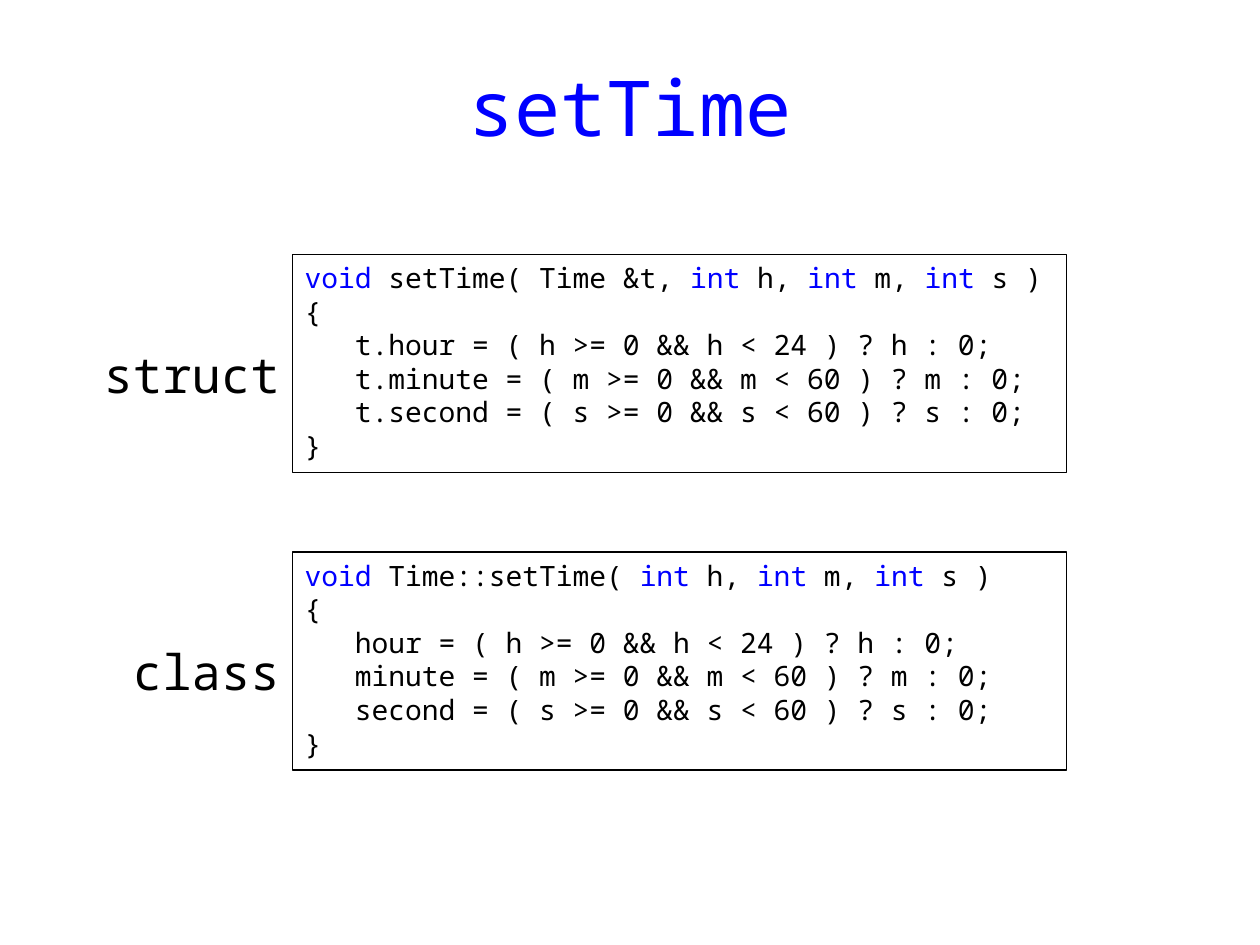
from dataclasses import dataclass

from pptx import Presentation
from pptx.dml.color import RGBColor
from pptx.enum.shapes import MSO_SHAPE
from pptx.enum.text import MSO_ANCHOR, PP_ALIGN
from pptx.slide import Slide
from pptx.text.text import TextFrame
from pptx.util import Pt

RECT = MSO_SHAPE.RECTANGLE
TOP, MIDDLE = MSO_ANCHOR.TOP, MSO_ANCHOR.MIDDLE
LEFT, CENTER, RIGHT = PP_ALIGN.LEFT, PP_ALIGN.CENTER, PP_ALIGN.RIGHT


@dataclass(frozen=True)
class Theme:
    font: str = "Noto Sans Mono"
    blue: RGBColor = RGBColor(0x00, 0x00, 0xFF)
    black: RGBColor = RGBColor(0x00, 0x00, 0x00)
    title: float = 44
    label: float = 28
    code: float = 16
    pitch: float = 19.2


@dataclass(frozen=True)
class Block:
    label: str
    width: float  # label width
    top: float
    code: tuple[str, ...]  # keywords stand between bars


THEME = Theme()
CODE_X, CODE_W, CODE_H = 167, 442.3, 124.6
LABEL_H, LABEL_DROP = 45.4, 45.4

BLOCKS = (
    Block("struct", 113, 145.4, (
        "|void| setTime( Time &t, |int| h, |int| m, |int| s )",
        "{",
        "   t.hour = ( h >= 0 && h < 24 ) ? h : 0;",
        "   t.minute = ( m >= 0 && m < 60 ) ? m : 0;",
        "   t.second = ( s >= 0 && s < 60 ) ? s : 0;",
        "}",
    )),
    Block("class", 102, 315.4, (
        "|void| Time::setTime( |int| h, |int| m, |int| s )",
        "{",
        "   hour = ( h >= 0 && h < 24 ) ? h : 0;",
        "   minute = ( m >= 0 && m < 60 ) ? m : 0;",
        "   second = ( s >= 0 && s < 60 ) ? s : 0;",
        "}",
    )),
)


def write(frame: TextFrame, lines: tuple[str, ...], size: float,
          align: PP_ALIGN, pitch: float | None = None) -> None:
    """Fill a frame, with the parts between bars in blue."""
    for row, line in enumerate(lines):
        para = frame.add_paragraph() if row else frame.paragraphs[0]
        para.alignment = align
        if pitch:
            para.line_spacing = Pt(pitch)
        for part, text in enumerate(line.split("|")):
            if not text:
                continue
            run = para.add_run()
            run.text = text
            run.font.name = THEME.font
            run.font.size = Pt(size)
            run.font.color.rgb = THEME.blue if part % 2 else THEME.black


def add_text(slide: Slide, text: str, x: float, y: float, w: float, h: float,
             size: float, align: PP_ALIGN, wrap: bool) -> None:
    box = slide.shapes.add_textbox(Pt(x), Pt(y), Pt(w), Pt(h))
    frame = box.text_frame
    frame.word_wrap = wrap
    frame.vertical_anchor = MIDDLE
    if align == RIGHT:
        frame.margin_left = Pt(0)  # room for the whole word
    write(frame, (text,), size, align)


def add_block(slide: Slide, block: Block) -> None:
    # Framed code
    box = slide.shapes.add_shape(RECT, Pt(CODE_X), Pt(block.top),
                                 Pt(CODE_W), Pt(CODE_H))
    box.shadow.inherit = False
    box.fill.background()
    box.line.color.rgb = THEME.black
    box.line.width = Pt(0.75)
    frame = box.text_frame
    frame.word_wrap = True
    frame.vertical_anchor = TOP
    write(frame, block.code, THEME.code, LEFT, THEME.pitch)

    # Label, ending at the frame's left side
    add_text(slide, block.label, CODE_X - block.width, block.top + LABEL_DROP,
             block.width, LABEL_H, THEME.label, RIGHT, False)


def main() -> None:
    deck = Presentation()
    deck.slide_width, deck.slide_height = Pt(720), Pt(540)
    slide = deck.slides.add_slide(deck.slide_layouts[6])

    # Title
    add_text(slide, "|setTime|", 20, 21, 680, 79, THEME.title, CENTER, True)

    # Code blocks
    for block in BLOCKS:
        add_block(slide, block)

    deck.save("out.pptx")


if __name__ == "__main__":
    main()
